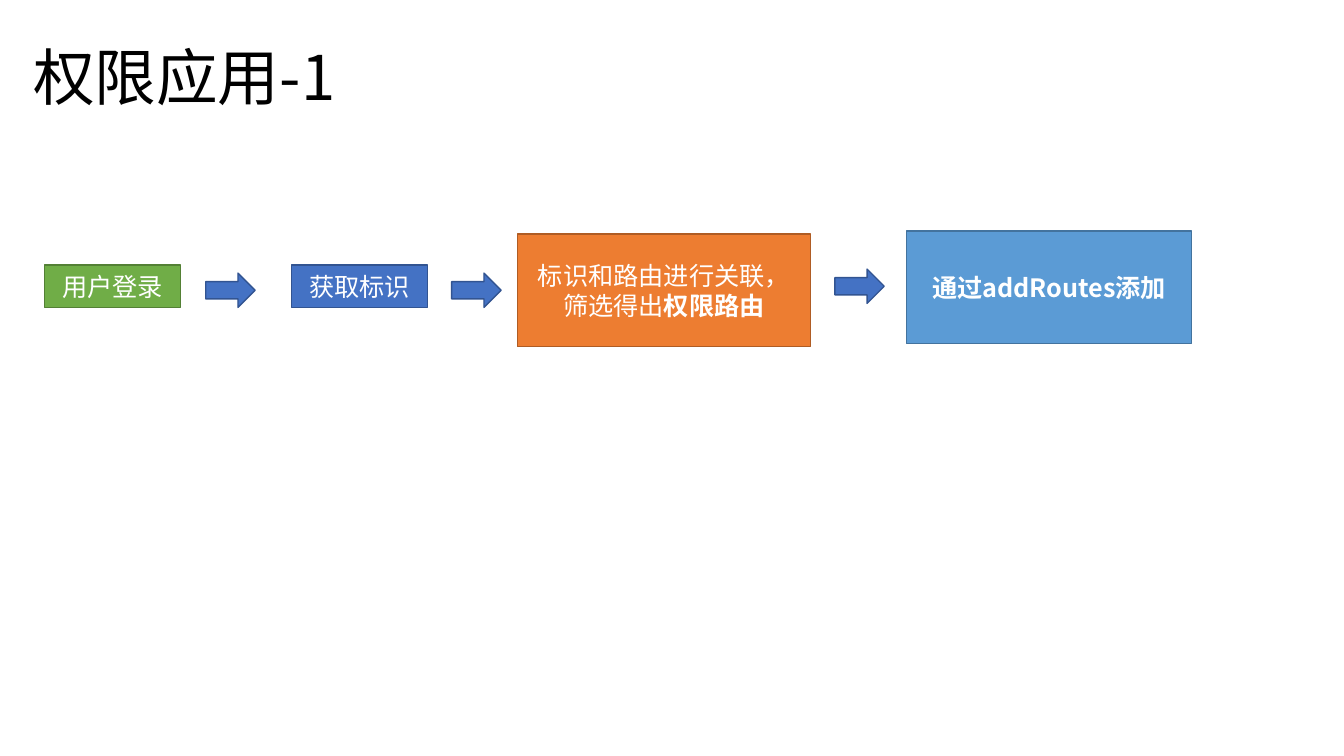
from dataclasses import dataclass

from lxml import etree
from pptx import Presentation
from pptx import util as u
from pptx.dml.color import RGBColor
from pptx.enum import shapes, text
from pptx.oxml import ns

PX = 9144


@dataclass(frozen=True)
class Theme:
    """Colours, as fill and outline pairs, and type settings."""
    font: str = "Noto Sans CJK SC"
    title_size: int = 44
    step_size: int = 18
    ink: str = "000000"
    light: str = "FFFFFF"
    green: tuple = ("70AD47", "538035")
    blue: tuple = ("4472C4", "325491")
    orange: tuple = ("ED7D31", "AF5C24")
    sky: tuple = ("5B9BD5", "43739E")


THEME = Theme()

STEPS = [
    ((44, 263, 135, 42), THEME.green, [("用户登录", False)]),
    ((289, 263, 135, 42), THEME.blue, [("获取标识", False)]),
    ((513, 232, 291, 112), THEME.orange,
     [("标识和路由进行关联，筛选得出", False), ("权限路由", True)]),
    ((899, 229, 283, 112), THEME.sky, [("通过addRoutes添加", True)]),
]
ARROWS = [(204, 271), (448, 271), (828, 267)]


def scaled(box):
    """Turn a box in px into EMU lengths."""
    return [u.Emu(length * PX) for length in box]


def write(frame, spans, size, colour, paragraph_format):
    """Fill a text frame with one paragraph of (wording, bold) spans."""
    frame.word_wrap = True
    frame.vertical_anchor = text.MSO_ANCHOR.MIDDLE
    para = frame.paragraphs[0]
    for name, value in paragraph_format.items():
        setattr(para, name, value)
    for wording, bold in spans:
        span = para.add_run()
        span.text = wording
        span.font.color.rgb = RGBColor.from_string(colour)
        font_format = {"name": THEME.font, "size": u.Pt(size), "bold": bold}
        for name, value in font_format.items():
            setattr(span.font, name, value)
        properties = span.font._element
        etree.SubElement(properties, ns.qn("a:ea"), typeface=THEME.font)


def add_block(page, kind, box, colours):
    """Place a filled, outlined shape in the box."""
    fill, outline = colours
    block = page.shapes.add_shape(kind, *scaled(box))
    block.shadow.inherit = False
    block.fill.solid()
    block.fill.fore_color.rgb = RGBColor.from_string(fill)
    block.line.color.rgb = RGBColor.from_string(outline)
    block.line.width = u.Pt(1)
    return block


def add_title(page, box, wording):
    """Place the slide title in the box."""
    title = page.shapes.add_textbox(*scaled(box))
    write(title.text_frame, [(wording, False)], THEME.title_size, THEME.ink,
          {"line_spacing": 0.9})


def add_flow(page, box):
    """Place the steps and the arrows between them in the box."""
    left, top = box[:2]
    for (x, y, width, height), colours, spans in STEPS:
        step = add_block(page, shapes.MSO_SHAPE.RECTANGLE,
                         (left + x, top + y, width, height), colours)
        write(step.text_frame, spans, THEME.step_size, THEME.light,
              {"alignment": text.PP_ALIGN.CENTER})
    for x, y in ARROWS:
        add_block(page, shapes.MSO_SHAPE.RIGHT_ARROW,
                  (left + x, top + y, 49, 34), THEME.blue)


def main():
    """Build and save the deck."""
    deck = Presentation()
    deck.slide_width, deck.slide_height = scaled((1333, 750))
    page = deck.slides.add_slide(deck.slide_layouts[6])
    add_title(page, (23, 7, 1150, 145), "权限应用-1")
    add_flow(page, (0, 0, 1333, 750))
    deck.save("out.pptx")


if __name__ == "__main__":
    main()
